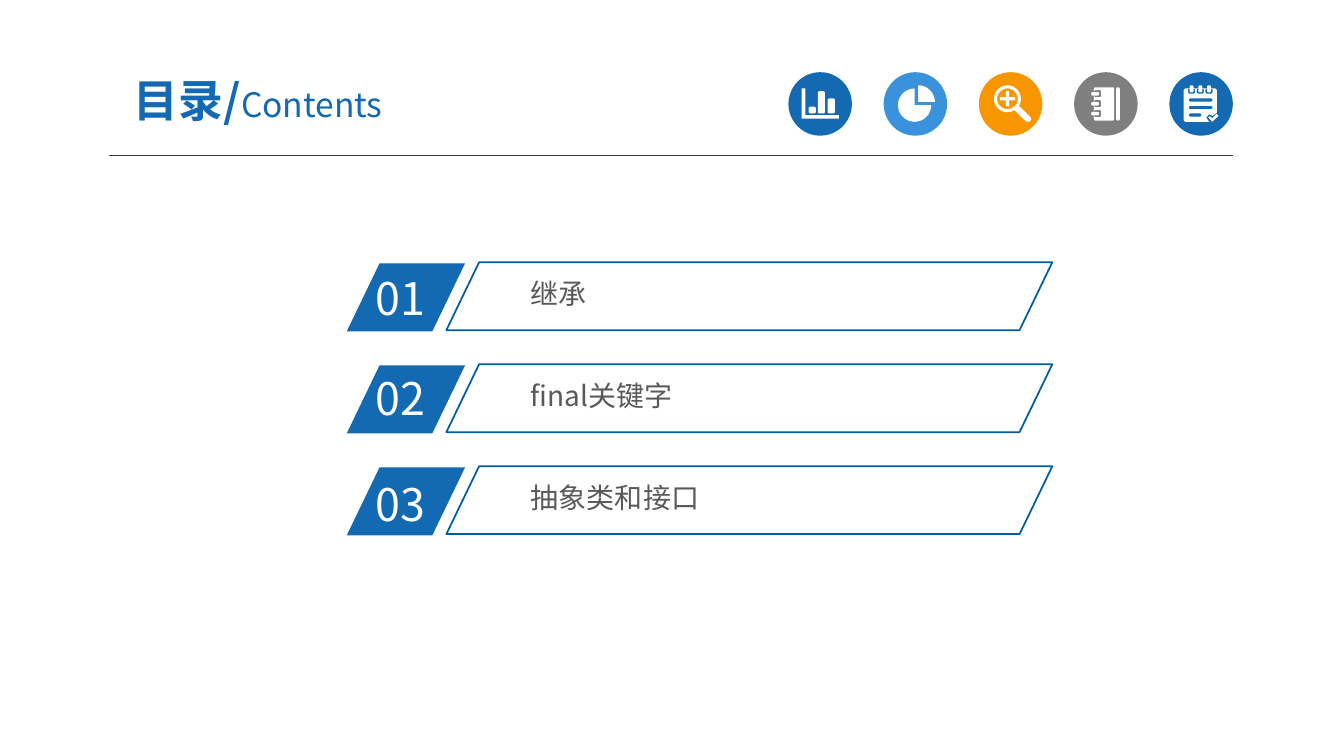
import math

import pptx
import pptx.util
import pptx.dml.color
import pptx.enum.shapes
import pptx.enum.text
import pptx.oxml
import pptx.oxml.ns

Cm = pptx.util.Cm
Pt = pptx.util.Pt
RGBColor = pptx.dml.color.RGBColor
SHAPE = pptx.enum.shapes.MSO_SHAPE
ALIGN = pptx.enum.text.PP_ALIGN
ANCHOR = pptx.enum.text.MSO_ANCHOR

BLUE = RGBColor(0x13, 0x69, 0xB2)
LIGHT_BLUE = RGBColor(0x39, 0x92, 0xDB)
ORANGE = RGBColor(0xF7, 0x96, 0x00)
GREY = RGBColor(0x7F, 0x7F, 0x7F)
TEXT_GREY = RGBColor(0x59, 0x59, 0x59)
OUTLINE_BLUE = RGBColor(0x00, 0x5D, 0xA2)
RULE_GREY = RGBColor(0x40, 0x40, 0x40)
WHITE = RGBColor(0xFF, 0xFF, 0xFF)

FONT = "Noto Sans CJK SC"
SLANT = 0.482
BADGE = 1.6
BADGE_LEFT, BADGE_TOP, BADGE_PITCH = 19.87, 1.82, 2.4
ROW_TOP, ROW_PITCH, ROW_HEIGHT = 6.61, 2.57, 1.71

# topic and the top of its number
TOPICS = [("继承", 6.68), ("final关键字", 9.22), ("抽象类和接口", 11.89)]


def paint(shape, fill=None, line=None):
    shape.shadow.inherit = False
    if fill is None:
        shape.fill.background()
    else:
        shape.fill.solid()
        shape.fill.fore_color.rgb = fill
    if line is None:
        shape.line.fill.background()
    else:
        shape.line.color.rgb = line
        shape.line.width = Pt(1.25)


def add_preset(slide, kind, left, top, width, height, adjust=None, **colours):
    shape = slide.shapes.add_shape(kind, Cm(left), Cm(top), Cm(width), Cm(height))
    if adjust is not None:
        shape.adjustments[0] = adjust
    paint(shape, **colours)


def add_text(slide, runs, left, top, width, height, colour,
             align=ALIGN.LEFT, anchor=ANCHOR.TOP, inset=(0.25, 0.13)):
    """Write one paragraph; runs holds (text, size, bold) triples."""
    box = slide.shapes.add_textbox(Cm(left), Cm(top), Cm(width), Cm(height))
    frame = box.text_frame
    frame.word_wrap = True
    frame.vertical_anchor = anchor
    frame.margin_left = frame.margin_right = Cm(inset[0])
    frame.margin_top = frame.margin_bottom = Cm(inset[1])
    paragraph = frame.paragraphs[0]
    paragraph.alignment = align
    for text, size, bold in runs:
        run = paragraph.add_run()
        run.text = text
        run.font.size = Pt(size)
        run.font.bold = bold
        run.font.color.rgb = colour
        run.font.name = FONT
        east_asian = pptx.oxml.parse_xml(
            f'<a:ea {pptx.oxml.ns.nsdecls("a")} typeface="{FONT}"/>')
        run.font._element.append(east_asian)


def add_rule(slide, left, right, y):
    rule = slide.shapes.add_connector(
        pptx.enum.shapes.MSO_CONNECTOR.STRAIGHT, Cm(left), Cm(y), Cm(right), Cm(y))
    rule.line.color.rgb = RULE_GREY
    rule.line.width = Pt(0.75)
    rule._element.spPr.append(
        pptx.oxml.parse_xml(f'<a:effectLst {pptx.oxml.ns.nsdecls("a")}/>'))


def arc(x, y, radius, start=0, sweep=360, steps=24):
    """Points along an arc, in degrees clockwise from the right."""
    angles = [math.radians(start + sweep * step / steps) for step in range(steps + 1)]
    return [(x + radius * math.cos(angle), y + radius * math.sin(angle)) for angle in angles]


def bar(left, top, width, height, radius=0.04):
    """Outline of a rectangle with rounded corners."""
    right, bottom = left + width - radius, top + height - radius
    corners = [(right, bottom), (left + radius, bottom),
               (left + radius, top + radius), (right, top + radius)]
    return [point for turn, (x, y) in enumerate(corners)
            for point in arc(x, y, radius, 90 * turn, 90, steps=3)]


def bars_icon():
    axes = [(0.33, 0.41), (0.43, 0.41), (0.43, 1.08), (1.27, 1.08), (1.27, 1.17), (0.33, 1.17)]
    return [axes] + [bar(left, top, 0.18, 1.04 - top)
                     for left, top in [(0.51, 0.87), (0.74, 0.48), (0.99, 0.66)]]


def pie_icon():
    return [arc(0.78, 0.83, 0.42, 0, 270) + [(0.78, 0.83)],
            arc(0.87, 0.75, 0.42, 270, 90) + [(0.87, 0.75)]]


def magnifier_icon():
    x, y, arm, half = 0.72, 0.67, 0.19, 0.04
    plus = [(x - half, y - arm), (x + half, y - arm), (x + half, y - half), (x + arm, y - half),
            (x + arm, y + half), (x + half, y + half), (x + half, y + arm), (x - half, y + arm),
            (x - half, y + half), (x - arm, y + half), (x - arm, y - half), (x - half, y - half)]
    handle = [(0.9, 0.96), (1.01, 0.85), (1.3, 1.13), (1.32, 1.18),
              (1.29, 1.24), (1.22, 1.25), (1.17, 1.23)]
    return [arc(x, y, 0.34), arc(x, y, 0.26), plus, handle]


def notebook_icon():
    outlines = [bar(0.5, 0.38, 0.51, 0.84), bar(1.06, 0.38, 0.09, 0.84)]
    for middle in (0.54, 0.79, 1.04):
        outlines += [bar(0.5, middle - 0.09, 0.18, 0.18),
                     bar(0.43, middle - 0.04, 0.2, 0.09)]
    return outlines


def checklist_icon():
    page = [(0.36, 0.45), (0.4, 0.41), (1.16, 0.41), (1.2, 0.45), (1.2, 1.02), (1.09, 1.1),
            (1.0, 1.06), (0.93, 1.14), (1.0, 1.25), (0.4, 1.25), (0.36, 1.21)]
    tick = [(0.98, 1.14), (1.02, 1.11), (1.08, 1.16), (1.19, 1.05), (1.24, 1.1), (1.08, 1.25)]
    outlines = [page, tick]
    for middle in (0.56, 0.78, 1.0):
        outlines += [bar(middle - 0.09, 0.41, 0.18, 0.13),
                     bar(middle - 0.05, 0.33, 0.1, 0.18)]
    return outlines + [bar(0.49, top, width, 0.08)
                       for top, width in [(0.66, 0.6), (0.85, 0.6), (1.04, 0.32)]]


def add_badge(slide, position, colour, outlines):
    """Draw a disc and its icon; an outline inside another cuts a hole."""
    left = BADGE_LEFT + BADGE_PITCH * position
    add_preset(slide, SHAPE.OVAL, left, BADGE_TOP, BADGE, BADGE, fill=colour)
    placed = [[(Cm(left + x), Cm(BADGE_TOP + y)) for x, y in outline] for outline in outlines]
    icon = slide.shapes.build_freeform(*placed[0][0])
    for index, points in enumerate(placed):
        if index:
            icon.move_to(*points[0])
        icon.add_line_segments(points[1:], close=True)
    paint(icon.convert_to_shape(), fill=WHITE)


def add_topic(slide, position, topic, number_top):
    top = ROW_TOP + ROW_PITCH * position
    add_preset(slide, SHAPE.PARALLELOGRAM, 8.74, top + 0.03, 2.98, ROW_HEIGHT,
               adjust=SLANT, fill=BLUE)
    add_text(slide, [(f"{position + 1:02}", 32, False)], 9.22, number_top, 2.84, 1.63, WHITE)
    add_text(slide, [(topic, 20, False)], 13.2, top + 0.27, 12.5, 1.09, TEXT_GREY,
             inset=(0.18, 0.1))
    add_preset(slide, SHAPE.PARALLELOGRAM, 11.25, top, 15.27, ROW_HEIGHT,
               adjust=SLANT, line=OUTLINE_BLUE)


def main():
    deck = pptx.Presentation()
    deck.slide_width, deck.slide_height = Cm(33.87), Cm(19.05)
    slide = deck.slides.add_slide(deck.slide_layouts[6])

    add_rule(slide, 2.74, 31.07, 3.93)
    badges = [(BLUE, bars_icon()), (LIGHT_BLUE, pie_icon()), (ORANGE, magnifier_icon()),
              (GREY, notebook_icon()), (BLUE, checklist_icon())]
    for position, (colour, outlines) in enumerate(badges):
        add_badge(slide, position, colour, outlines)

    add_text(slide, [("目录/", 32, True), ("Contents", 24, False)], 2.33, 1.6, 8.36, 1.83,
             BLUE, align=ALIGN.CENTER, anchor=ANCHOR.MIDDLE, inset=(0.33, 0.18))
    for position, (topic, number_top) in enumerate(TOPICS):
        add_topic(slide, position, topic, number_top)

    deck.save("out.pptx")


if __name__ == "__main__":
    main()
